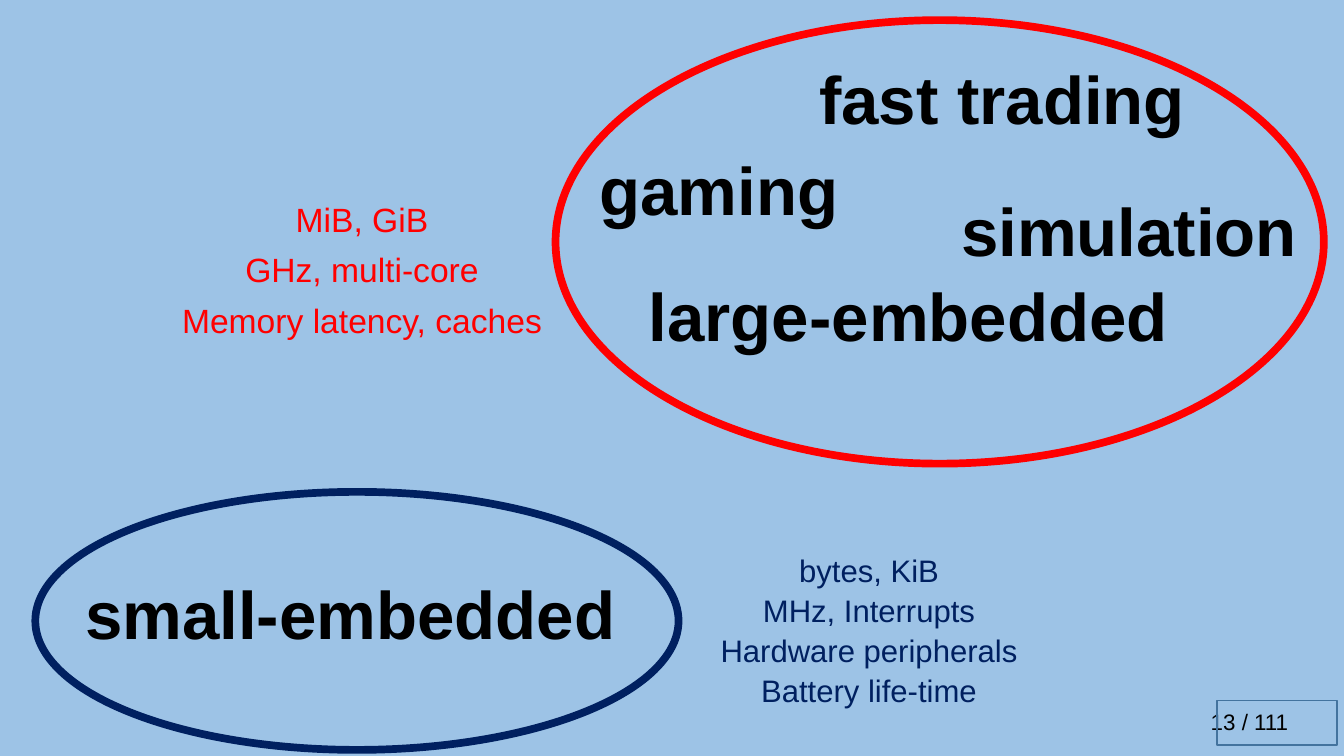
from pptx import Presentation
from pptx.dml.color import RGBColor
from pptx.enum.shapes import MSO_SHAPE as Shape
from pptx.enum.text import PP_ALIGN as Align
from pptx.util import Inches, Pt

COLORS = {
    "background": "9DC3E6",
    "text": "000000",
    "large": "FF0000",
    "small": "002060",
    "frame": "43739E",
}
DOMAIN = {"size": Pt(48), "bold": True}


def color(name):
    return RGBColor.from_string(COLORS[name])


def add_text(slide, box, lines, font, ink="text", spacing=0.9, align=Align.CENTER):
    frame = slide.shapes.add_textbox(*map(Inches, box)).text_frame
    frame.word_wrap = True
    for index, line in enumerate(lines):
        paragraph = frame.paragraphs[0] if index == 0 else frame.add_paragraph()
        paragraph.text = line
        layout = {"alignment": align, "line_spacing": spacing}
        if index:
            layout["space_before"] = Pt(10)
        for name, value in layout.items():
            setattr(paragraph, name, value)
        for name, value in {"name": "Arial", **font}.items():
            setattr(paragraph.font, name, value)
        paragraph.font.color.rgb = color(ink)


def add_outline(slide, kind, box, ink, weight):
    shape = slide.shapes.add_shape(kind, *map(Inches, box))
    shape.shadow.inherit = False
    shape.fill.background()
    shape.line.color.rgb = color(ink)
    shape.line.width = Pt(weight)


def add_page_number(slide, box):
    left, top, width, height = box
    add_text(slide, (left - 0.16, top + 0.03, width + 0.06, height - 0.07),
             ["13 / 111"], {"size": Pt(16)}, spacing=1.0, align=Align.LEFT)
    add_outline(slide, Shape.RECTANGLE, box, "frame", 1)


def add_large_systems(slide, box):
    left, top, width, height = box
    domains = [
        ("fast trading", 4.43, 0.41),
        ("gaming", 1.62, 1.31),
        ("simulation", 5.69, 1.72),
        ("large-embedded", 3.5, 2.56),
    ]
    for domain, center, offset in domains:
        label_width = 5.6 if domain == "large-embedded" else 4.2
        add_text(slide, (left + center - label_width / 2, top + offset, label_width, 0.92),
                 [domain], DOMAIN)
    add_text(slide, (left - 3.98, top + 1.77, 4.12, 1.67),
             ["MiB, GiB", "GHz, multi-core", "Memory latency, caches"],
             {"size": Pt(24)}, "large")
    add_outline(slide, Shape.OVAL, box, "large", 5.5)


def add_small_systems(slide, box):
    left, top, width, height = box
    add_text(slide, (left, top + 0.84, width - 0.13, 0.88), ["small-embedded"], DOMAIN)
    add_text(slide, (left + width - 0.17, top + 0.64, 4.12, 1.67),
             ["bytes, KiB", "MHz, Interrupts", "Hardware peripherals", "Battery life-time"],
             {"size": Pt(22.2)}, "small", 0.7)
    add_outline(slide, Shape.OVAL, box, "small", 5.5)


def main():
    presentation = Presentation()
    presentation.slide_width = Inches(13.33)
    presentation.slide_height = Inches(7.5)
    slide = presentation.slides.add_slide(presentation.slide_layouts[6])
    slide.background.fill.solid()
    slide.background.fill.fore_color.rgb = color("background")
    add_page_number(slide, (12.07, 6.95, 1.19, 0.44))
    add_large_systems(slide, (5.51, 0.2, 7.62, 4.4))
    add_small_systems(slide, (0.35, 4.88, 6.38, 2.56))
    presentation.save("out.pptx")


if __name__ == "__main__":
    main()
